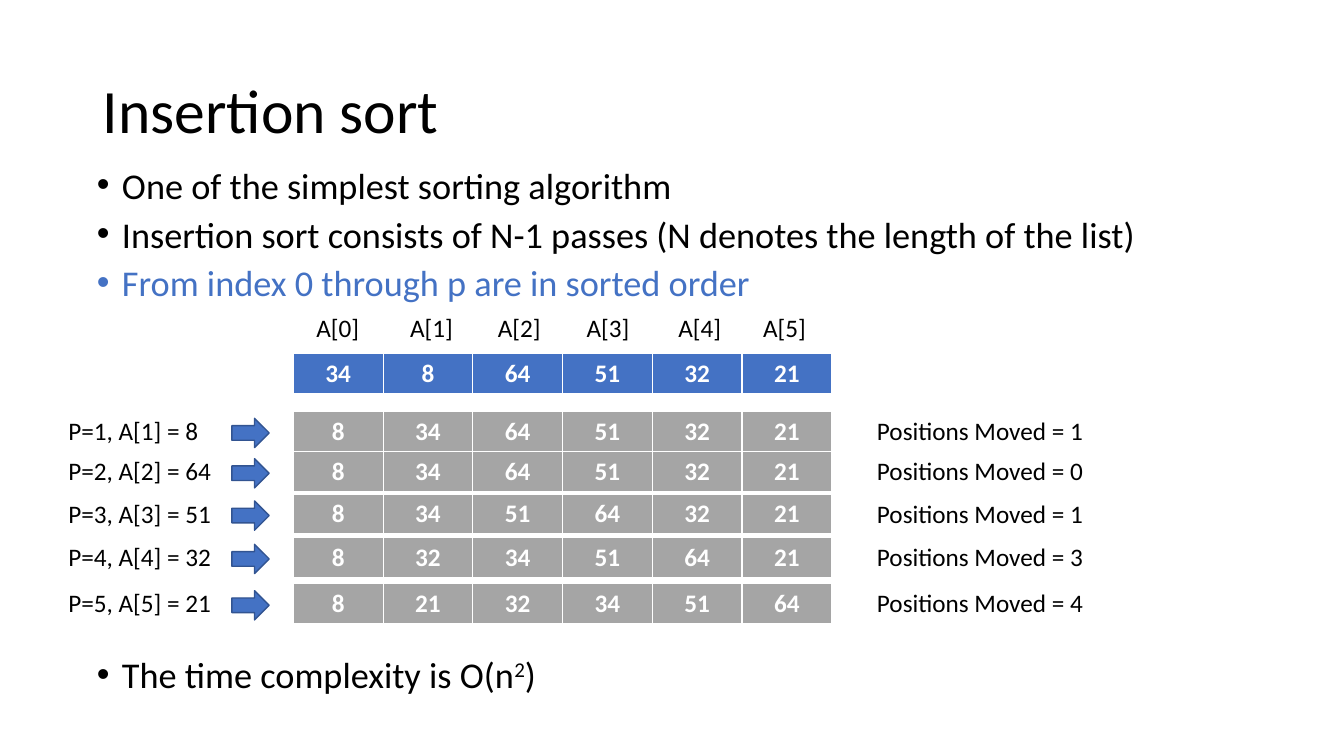
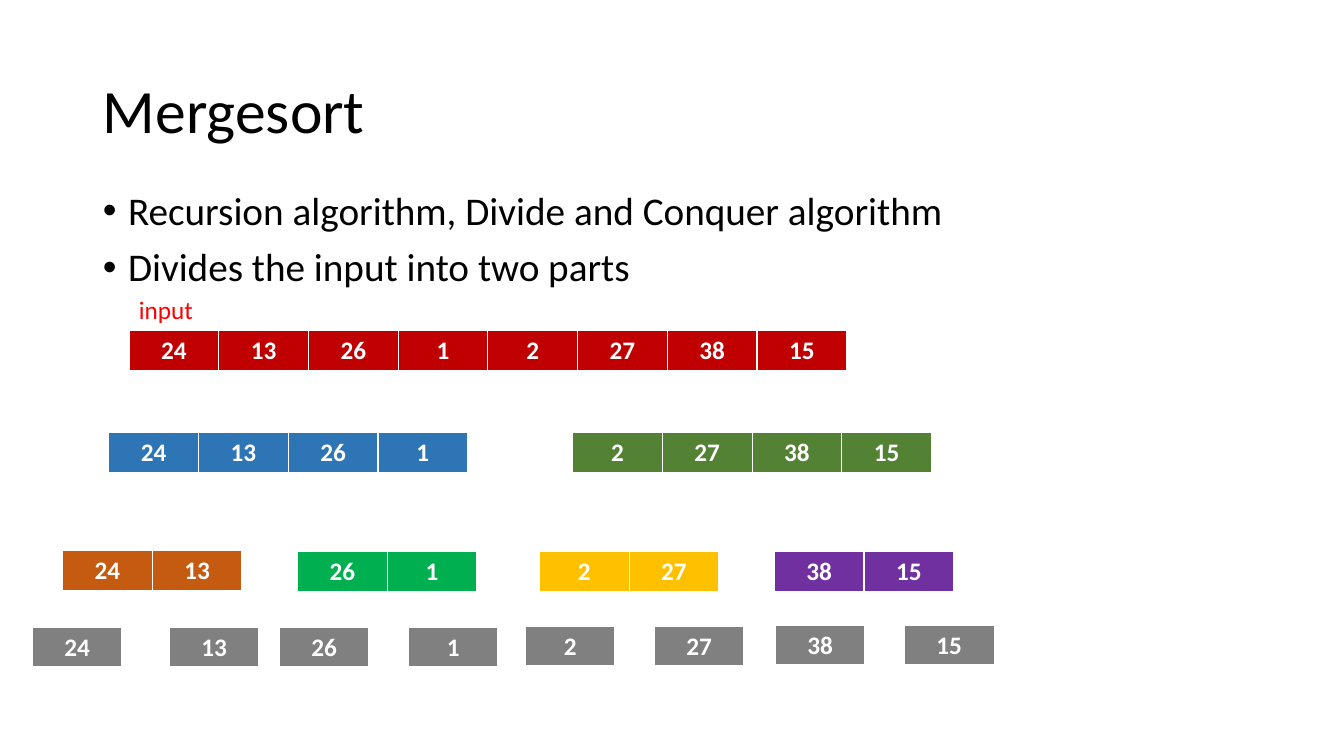
from lxml import etree
from pptx import Presentation
from pptx.dml.color import RGBColor
from pptx.enum.shapes import MSO_SHAPE
from pptx.enum.text import MSO_ANCHOR, MSO_AUTO_SIZE, PP_ALIGN
from pptx.oxml.ns import qn
from pptx.util import Pt

PX = 9144  # EMU in one px, a hundredth of an inch
FONT = "Calibri"
BLACK, WHITE, RED = "000000", "FFFFFF", "FF0000"
BLUE, NAVY, GREY = "4472C4", "325491", "A5A5A5"
CELL, HIGH = 89, 41
EDGES = {"a:lnL": 1, "a:lnR": 1, "a:lnT": 1, "a:lnB": 3}
ARROW = MSO_SHAPE.RIGHT_ARROW
LEFT, CENTER = PP_ALIGN.LEFT, PP_ALIGN.CENTER
MIDDLE = MSO_ANCHOR.MIDDLE
FIXED, GROW = MSO_AUTO_SIZE.NONE, MSO_AUTO_SIZE.SHAPE_TO_FIT_TEXT
rgb = RGBColor.from_string


def write(para, text, size=18, color=BLACK, bold=False):
    run = para.add_run()
    run.text = text
    font = run.font
    font.name, font.size, font.bold = FONT, Pt(size), bold
    font.color.rgb = rgb(color)
    return run


def strip(slide, x, y, color, nums):
    """Draw a list of numbers as a table of one row."""
    width = CELL * len(nums)
    frame = slide.shapes.add_table(1, len(nums), x * PX, y * PX, width * PX, HIGH * PX)
    table = frame.table
    table.first_row = table.horz_banding = False
    for col, num in enumerate(nums):
        table.columns[col].width = CELL * PX
        cell = table.cell(0, col)
        props = cell._tc.get_or_add_tcPr()
        for tag, wide in EDGES.items():
            edge = etree.SubElement(props, qn(tag), w=str(Pt(wide)))
            fill = etree.SubElement(edge, qn("a:solidFill"))
            etree.SubElement(fill, qn("a:srgbClr"), val=WHITE)
        cell.fill.solid()
        cell.fill.fore_color.rgb = rgb(color)
        para = cell.text_frame.paragraphs[0]
        para.alignment = CENTER
        write(para, str(num), color=WHITE, bold=True)


deck = Presentation()
deck.slide_width, deck.slide_height = 1333 * PX, 750 * PX

# Titles and lists: title, list place, text size, line spacing,
# then each item as colour, space before and text
pages = [
    ("Insertion sort", (86, 165, 1150, 573), 25.9, 0.8, [
        (BLACK, 10, "One of the simplest sorting algorithm"),
        (BLACK, 10, "Insertion sort consists of N-1 passes (N denotes the length of the list)"),
        (BLUE, 10, "From index 0 through p are in sorted order"),
        (BLACK, 255, "The time complexity is O(n"),
    ]),
    ("Mergesort", (92, 185, 1150, 476), 28, 0.9, [
        (BLACK, 10, "Recursion algorithm, Divide and Conquer algorithm"),
        (BLACK, 10, "Divides the input into two parts"),
    ]),
]
for name, place, size, lead, items in pages:
    slide = deck.slides.add_slide(deck.slide_layouts[1])
    title, body = slide.placeholders
    for shape, spot in ((title, (92, 40, 1150, 145)), (body, place)):
        shape.left, shape.top, shape.width, shape.height = [n * PX for n in spot]
        shape.text_frame.auto_size = FIXED
    title.text_frame.vertical_anchor = MIDDLE
    para = title.text_frame.paragraphs[0]
    para.alignment, para.line_spacing = LEFT, 0.9
    write(para, name, 44)
    for num, (color, gap, text) in enumerate(items):
        frame = body.text_frame
        para = frame.add_paragraph() if num else frame.paragraphs[0]
        para.line_spacing, para.space_before = lead, Pt(gap)
        props = para._p.get_or_add_pPr()
        props.set("marL", str(25 * PX))
        props.set("indent", str(-25 * PX))
        write(para, text, size, color)

sort, merge = deck.slides

# Close the formula at the end of the first list
para = sort.placeholders[1].text_frame.paragraphs[-1]
power = write(para, "2", 25.9)
power.font._element.set("baseline", "30000")
write(para, ")", 25.9)

# Insertion sort: the start, then one strip for each pass
start = [34, 8, 64, 51, 32, 21]
strip(sort, 291, 351, BLUE, start)
labels = [(sort, f"A[{num}]", x, 305, 63, BLACK)
          for num, x in enumerate((304, 397, 484, 572, 663, 747))]
nums = start
for step, y in enumerate((408, 448, 490, 533, 579), 1):
    key = start[step]
    nums = sorted(nums[:step + 1]) + nums[step + 1:]
    moved = step - nums.index(key)
    strip(sort, 291, y, GREY, nums)
    arrow = sort.shapes.add_shape(ARROW, 230 * PX, (y + 7) * PX, 37 * PX, 29 * PX)
    arrow.shadow.inherit = False
    arrow.fill.solid()
    arrow.fill.fore_color.rgb = rgb(BLUE)
    arrow.line.color.rgb = rgb(NAVY)
    arrow.line.width = Pt(1)
    labels += [
        (sort, f"P={step}, A[{step}] = {key}", 58, y - 1, 163, BLACK),
        (sort, f"Positions Moved = {moved}", 860, y - 1, 227, BLACK),
    ]

# Mergesort: each level shares the input among its strips, left to right
data = [24, 13, 26, 1, 2, 27, 38, 15]
leaves = [(32, 622), (168, 622), (277, 622), (405, 622),
          (521, 621), (649, 621), (769, 620), (897, 620)]
levels = [
    [(128, 328, "C00000")],
    [(108, 429, "2E75B6"), (568, 429, "548235")],
    [(62, 546, "C55A11"), (295, 547, "00B050"), (535, 547, "FFC000"), (768, 547, "7030A0")],
    [(x, y, "808080") for x, y in leaves],
]
for level in levels:
    size = len(data) // len(level)
    for num, (x, y, color) in enumerate(level):
        strip(merge, x, y, color, data[num * size:(num + 1) * size])
labels.append((merge, "input", 128, 287, 74, RED))

for slide, text, x, y, width, color in labels:
    box = slide.shapes.add_textbox(x * PX, y * PX, width * PX, 40 * PX)
    box.text_frame.word_wrap = False
    box.text_frame.auto_size = GROW
    write(box.text_frame.paragraphs[0], text, color=color)

deck.save("out.pptx")
